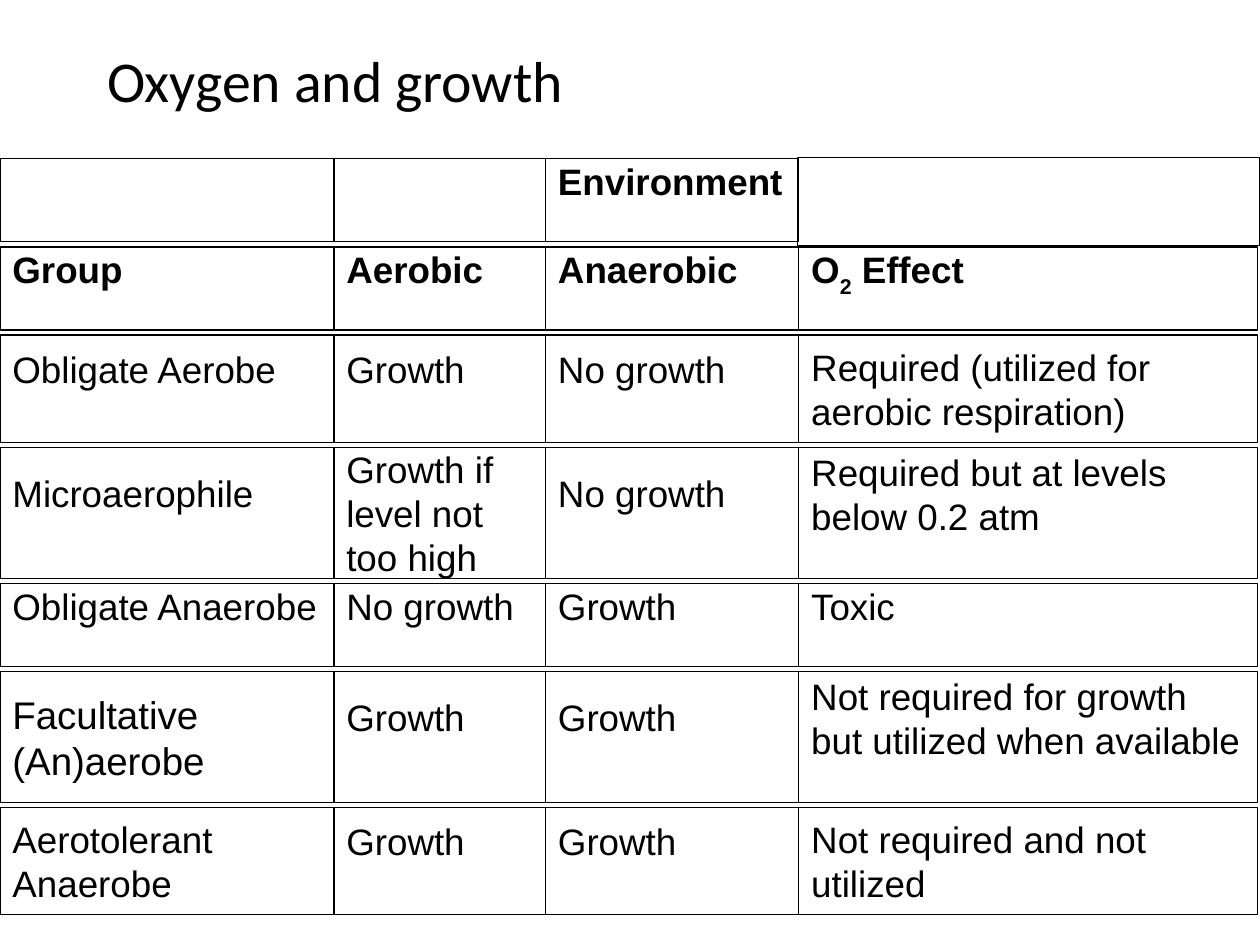
"""Builds a slide on oxygen and bacterial growth."""
from pptx import Presentation
from pptx.dml.color import RGBColor as Rgb
from pptx.enum.shapes import MSO_SHAPE as Shape
from pptx.enum.text import MSO_ANCHOR as Anchor, MSO_AUTO_SIZE as Fit, PP_ALIGN as Align
from pptx.util import Inches, Pt

COLORS = {"ink": "000000"}
INK = Rgb.from_string(COLORS["ink"])
LINE = 0.335
GAP = 0.04
WIDTHS = [2.65, 1.68, 2.01, 3.64]
HEIGHTS = [0.66, 0.66, 0.85, 1.04, 0.66, 1.04, 0.85]
ROWS = [
    ["", "", "Environment", ""],
    ["Group", "Aerobic", "Anaerobic", "O_2_ Effect"],
    ["Obligate Aerobe", "Growth", "No growth",
     "Required (utilized for aerobic respiration)"],
    ["Microaerophile", "Growth if level not too high", "No growth",
     "Required but at levels below 0.2 atm"],
    ["Obligate Anaerobe", "No growth", "Growth", "Toxic"],
    ["Facultative (An)aerobe", "Growth", "Growth",
     "Not required for growth but utilized when available"],
    ["Aerotolerant Anaerobe", "Growth", "Growth",
     "Not required and not utilized"],
]
HEADS = 2
LINES = {(3, 3): 2, (5, 3): 2}
MIDDLE = {(2, 3), (3, 1), (5, 0), (6, 0), (6, 3)}
LARGE = {(5, 0)}


def add_title(slide, box, text):
    """Place and format the title in the box."""
    title = slide.shapes.title
    title.left, title.top, title.width, title.height = map(Inches, box)
    frame = title.text_frame
    frame.text = text
    frame.auto_size = Fit.NONE
    frame.vertical_anchor = Anchor.MIDDLE
    para = frame.paragraphs[0]
    para.alignment = Align.LEFT
    para.line_spacing = 0.9
    para.font.name, para.font.size = "Calibri", Pt(33)
    para.font.color.rgb = INK


def add_cell(shapes, box, text, spot):
    """Draw one outlined cell; text between underscores is subscript."""
    cell = shapes.add_shape(Shape.RECTANGLE, *map(Inches, box))
    cell.shadow.inherit = False
    cell.fill.background()
    cell.line.color.rgb = INK
    cell.line.width = Pt(0.75)
    if not text:
        return
    frame = cell.text_frame
    frame.word_wrap = True
    frame.margin_left = frame.margin_right = Inches(0.1)
    frame.margin_top = frame.margin_bottom = 0
    if spot in MIDDLE:
        frame.vertical_anchor = Anchor.MIDDLE
    else:
        frame.vertical_anchor = Anchor.TOP
        room = box[3] - (LINES.get(spot, 1) + 1) * LINE
        frame.margin_top = Inches(max(0, room / 2))
    para = frame.paragraphs[0]
    para.alignment = Align.LEFT
    for i, part in enumerate(text.split("_")):
        run = para.add_run()
        run.text = part
        if i % 2:
            run.font._element.set("baseline", "-30000")
    font = para.font
    font.name, font.size = "Arial", Pt(22 if spot in LARGE else 21)
    font.bold = spot[0] < HEADS
    font.color.rgb = INK


def add_grid(slide, left, top):
    """Lay the cells out in rows split by a thin gap."""
    shapes = slide.shapes.add_group_shape().shapes
    y = top
    for r, (row, high) in enumerate(zip(ROWS, HEIGHTS)):
        x = left
        for c, (text, wide) in enumerate(zip(row, WIDTHS)):
            box = (x, y, wide, high)
            if (r, c) == (0, 3):
                box = (x - 0.01, y - 0.01, wide + 0.03, high + GAP)
            add_cell(shapes, box, text, (r, c))
            x += wide
        y += high + GAP


def main():
    """Build and save the slide."""
    deck = Presentation()
    deck.slide_width, deck.slide_height = Inches(10), Inches(7.5)
    slide = deck.slides.add_slide(deck.slide_layouts[5])
    add_title(slide, (0.75, 0.25, 8.5, 0.83), "Oxygen and growth")
    add_grid(slide, 0, 1.26)
    deck.save("out.pptx")


if __name__ == "__main__":
    main()
